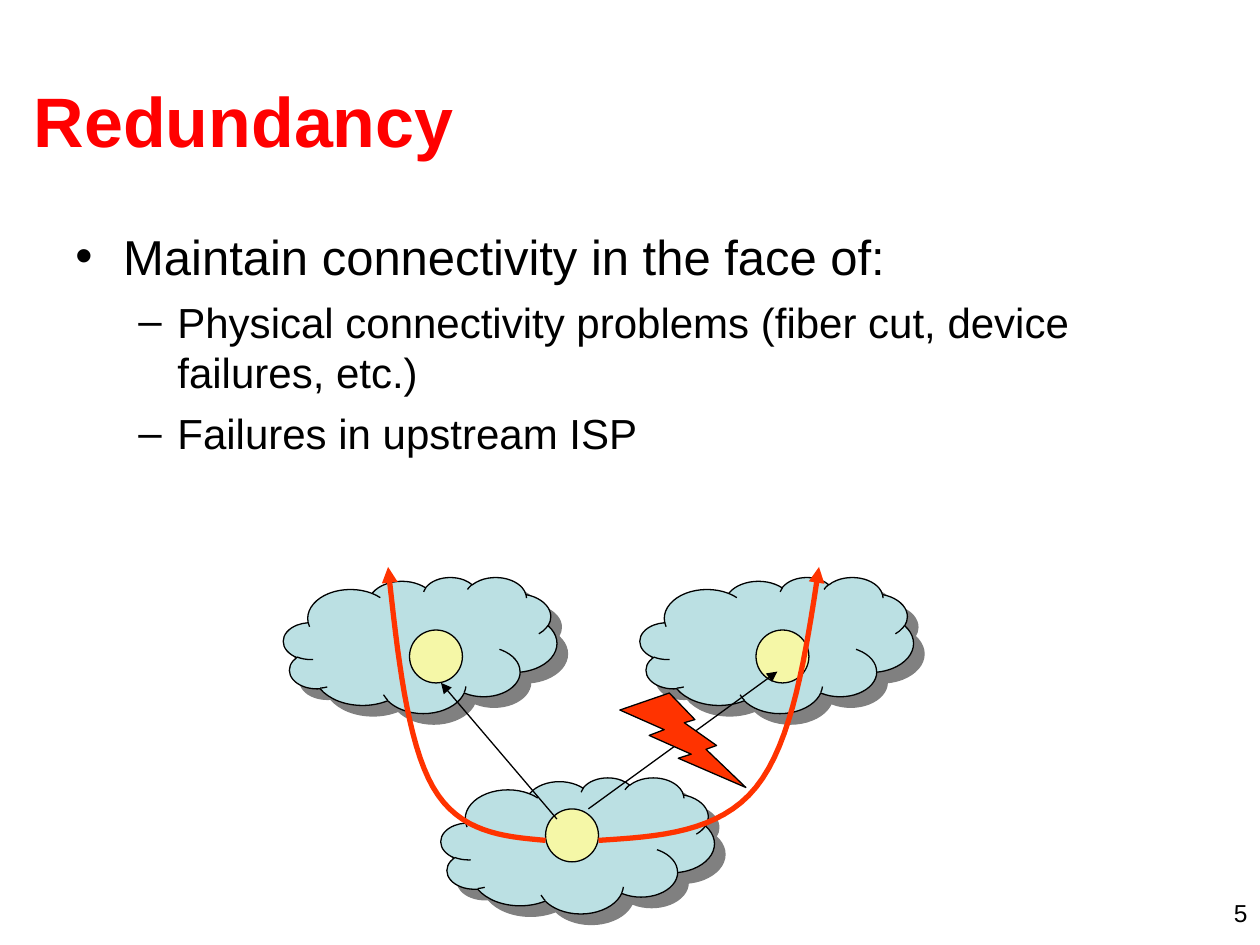
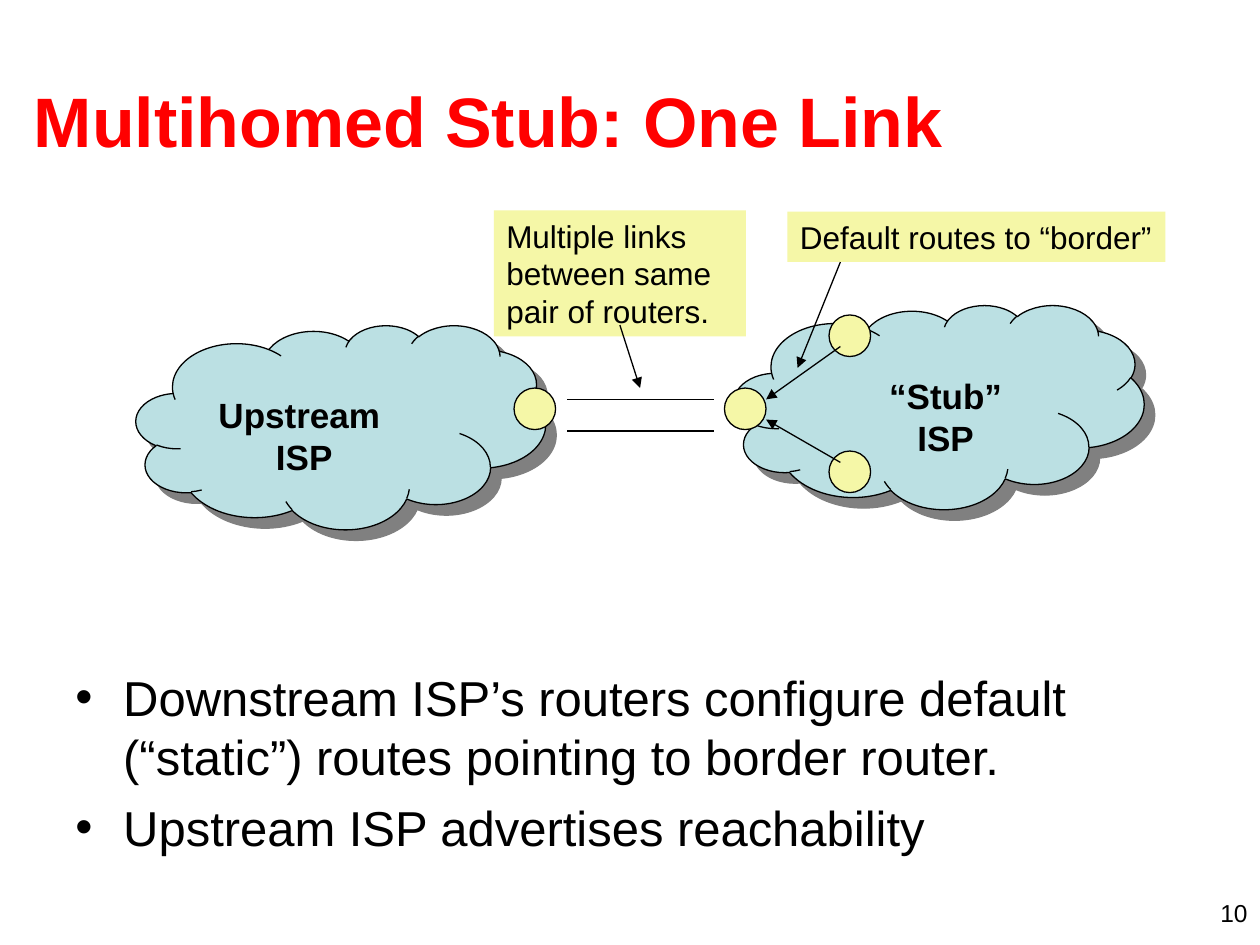
from lxml import etree
from pptx import Presentation
from pptx.dml.color import RGBColor
from pptx.enum.shapes import MSO_CONNECTOR, MSO_SHAPE
from pptx.enum.text import MSO_ANCHOR, PP_ALIGN
from pptx.oxml.ns import qn
from pptx.util import Inches, Pt

CLOUD, BOLT = MSO_SHAPE.CLOUD, MSO_SHAPE.LIGHTNING_BOLT
CIRCLE, RECTANGLE = MSO_SHAPE.OVAL, MSO_SHAPE.RECTANGLE
STRAIGHT = MSO_CONNECTOR.STRAIGHT
LEFT, CENTER, RIGHT = PP_ALIGN.LEFT, PP_ALIGN.CENTER, PP_ALIGN.RIGHT
TOP, MIDDLE = MSO_ANCHOR.TOP, MSO_ANCHOR.MIDDLE

COLORS = {
    "title": "FF0000",
    "text": "000000",
    "cloud": "BBE0E3",
    "note": "F5F7A7",
    "alert": "FF3300",
    "shadow": "808080",
}
FONT = "Arial"
TITLE = {"size": Pt(40), "bold": True}
LABEL = {"size": Pt(20), "bold": True}
NOTE = {"size": Pt(18)}
NUMBER = {"size": Pt(14)}
LEVELS = [
    {"bullet": "•", "margin": 0.38, "indent": -0.38, "before": 7, "size": 28},
    {"bullet": "–", "margin": 0.81, "indent": -0.31, "before": 6, "size": 24},
]
CURVE_STEPS = 16


def color(name):
    return RGBColor.from_string(COLORS[name])


def inches(values):
    return [Inches(value) for value in values]


def shift(origin, point):
    return origin[0] + point[0], origin[1] + point[1]


def style_paragraph(para, format_values, tint="text", align=LEFT):
    para.alignment = align
    para.line_spacing = 1.0
    para.font.name = FONT
    para.font.color.rgb = color(tint)
    for name, value in format_values.items():
        setattr(para.font, name, value)


def write(shape, text, format_values, tint="text", align=LEFT, anchor=TOP):
    frame = shape.text_frame
    frame.word_wrap = True
    frame.vertical_anchor = anchor
    para = frame.paragraphs[0]
    para.text = text
    style_paragraph(para, format_values, tint, align)


def add_text(page, box, text, format_values, **options):
    write(page.shapes.add_textbox(*inches(box)), text, format_values, **options)


def add_bullets(page, box, items):
    frame = page.shapes.add_textbox(*inches(box)).text_frame
    frame.word_wrap = True
    for index, (depth, text) in enumerate(items):
        level = LEVELS[depth]
        para = frame.add_paragraph() if index else frame.paragraphs[0]
        para.text = text
        properties = para._p.get_or_add_pPr()
        properties.set("marL", str(Inches(level["margin"])))
        properties.set("indent", str(Inches(level["indent"])))
        etree.SubElement(properties, qn("a:buFont"), typeface=FONT)
        etree.SubElement(properties, qn("a:buChar"), char=level["bullet"])
        style_paragraph(para, {"size": Pt(level["size"])})
        if index:
            para.space_before = Pt(level["before"])


def add_solid(page, kind, corner, size, fill, outlined=True):
    shape = page.shapes.add_shape(kind, *inches((*corner, *size)))
    shape.shadow.inherit = False
    shape.fill.solid()
    shape.fill.fore_color.rgb = color(fill)
    if outlined:
        shape.line.color.rgb = color("text")
        shape.line.width = Pt(0.75)
    else:
        shape.line.fill.background()
    return shape


def add_cloud(page, corner, size):
    cloud = add_solid(page, CLOUD, corner, size, "cloud")
    effects = cloud._element.spPr.find(qn("a:effectLst"))
    shadow = etree.SubElement(effects, qn("a:outerShdw"), blurRad="0",
                              dist=str(Pt(8.5)), dir="2700000",
                              algn="ctr", rotWithShape="0")
    etree.SubElement(shadow, qn("a:srgbClr"), val=COLORS["shadow"])


def add_note(page, corner, size, text):
    note = add_solid(page, RECTANGLE, corner, size, "note", outlined=False)
    write(note, text, NOTE)


def add_arrowhead(shape):
    etree.SubElement(shape.line._get_or_add_ln(), qn("a:tailEnd"), type="triangle")


def add_link(page, start, end, arrow=True):
    link = page.shapes.add_connector(STRAIGHT, *inches((*start, *end)))
    link.line.color.rgb = color("text")
    link.line.width = Pt(0.75)
    if arrow:
        add_arrowhead(link)
    etree.SubElement(link._element.spPr, qn("a:effectLst"))


def bezier(points, t):
    weights = ((1 - t) ** 3, 3 * t * (1 - t) ** 2, 3 * t * t * (1 - t), t ** 3)
    return tuple(sum(w * point[axis] for w, point in zip(weights, points))
                 for axis in (0, 1))


def add_traffic(page, start, reach, rise):
    controls = ((0, 0), (0.273, 0.014), (0.547, 0.028), (0.714, 0.194),
                (0.88, 0.36), (0.94, 0.68), (1, 1))
    points = [(start[0] + x * reach, start[1] - y * rise) for x, y in controls]
    trace = [bezier(points[first:first + 4], step / CURVE_STEPS)
             for first in (0, 3) for step in range(1, CURVE_STEPS + 1)]
    builder = page.shapes.build_freeform(*inches(start), scale=1.0)
    builder.add_line_segments([inches(point) for point in trace], close=False)
    route = builder.convert_to_shape()
    route.shadow.inherit = False
    route.fill.background()
    route.line.color.rgb = color("alert")
    route.line.width = Pt(3)
    add_arrowhead(route)


def draw_redundancy(page, origin):
    def at(x, y):
        return shift(origin, (x, y))

    for corner in ((1.25, 1.67), (0, 0.08), (2.83, 0.08)):
        add_cloud(page, at(*corner), (2.17, 1.08))
    for corner in ((2.08, 1.92), (1, 0.5), (3.75, 0.5)):
        add_solid(page, CIRCLE, at(*corner), (0.42, 0.42), "note")
    add_link(page, at(2.17, 2), at(1.25, 0.92))
    add_link(page, at(2.42, 1.92), at(3.92, 0.83))
    add_solid(page, BOLT, at(2.67, 1), (1, 0.75), "alert")
    add_traffic(page, at(2.5, 2.17), 1.75, 2.17)
    add_traffic(page, at(2.08, 2.17), -1.25, 2.17)


def draw_multihoming(page, origin):
    def at(x, y):
        return shift(origin, (x, y))

    def add_router(x, y):
        add_solid(page, CIRCLE, at(x, y), (0.33, 0.33), "note")

    add_cloud(page, at(0, 0.91), (3.25, 1.62))
    add_cloud(page, at(4.75, 0.75), (3.25, 1.62))
    add_text(page, (*at(0.42, 1.4), 1.83, 0.77), "Upstream \vISP", LABEL, align=CENTER)
    for x in (3, 4.67):
        add_router(x, 1.41)
    for y in (1.5, 1.75):
        add_link(page, at(3.42, y), at(4.59, y), arrow=False)
    add_note(page, at(2.84, 0), (2, 1), "Multiple links between same pair of routers.")
    add_link(page, at(3.84, 0.91), at(4, 1.41))
    for y in (0.83, 1.91):
        add_router(5.5, y)
    add_link(page, at(5.59, 1.08), at(5, 1.5))
    add_link(page, at(5.59, 2), at(5, 1.66))
    add_note(page, at(5.17, 0.01), (3, 0.4), "Default routes to “border”")
    add_link(page, at(5.59, 0.41), at(5.25, 1.25))
    add_text(page, (*at(5.84, 1.25), 1.17, 0.77), "“Stub”\vISP", LABEL, align=CENTER)


def add_page(deck, title, number, body_box, items):
    page = deck.slides.add_slide(deck.slide_layouts[6])
    add_text(page, (0.17, 0.32, 9.58, 1.25), title, TITLE, tint="title", anchor=MIDDLE)
    add_bullets(page, body_box, items)
    add_text(page, (7.67, 7.08, 2.33, 0.25), str(number), NUMBER, align=RIGHT)
    return page


def main():
    deck = Presentation()
    deck.slide_width, deck.slide_height = Inches(10), Inches(7.5)
    page = add_page(deck, "Redundancy", 5, (0.5, 1.75, 9, 2.17), [
        (0, "Maintain connectivity in the face of:"),
        (1, "Physical connectivity problems (fiber cut, device failures, etc.)"),
        (1, "Failures in upstream ISP"),
    ])
    draw_redundancy(page, (2.25, 4.5))
    page = add_page(deck, "Multihomed Stub: One Link", 10, (0.5, 5.25, 9, 1.67), [
        (0, "Downstream ISP’s routers configure default (“static”) routes "
            "pointing to border router."),
        (0, "Upstream ISP advertises reachability"),
    ])
    draw_multihoming(page, (1.08, 1.67))
    deck.save("out.pptx")


if __name__ == "__main__":
    main()
